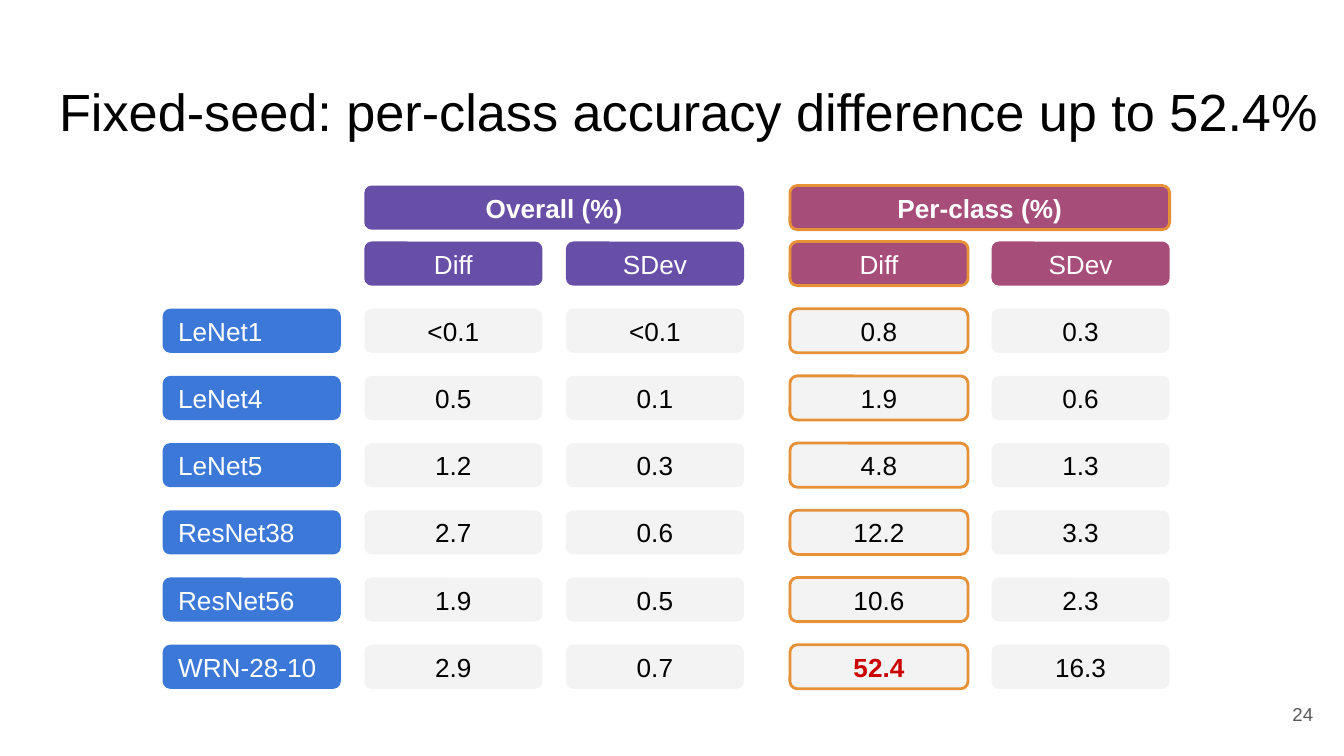
from dataclasses import dataclass
from typing import Optional

from pptx import Presentation
from pptx.dml.color import RGBColor
from pptx.enum.shapes import MSO_SHAPE
from pptx.enum.text import MSO_ANCHOR, MSO_AUTO_SIZE, PP_ALIGN
from pptx.util import Pt

ROUNDED = MSO_SHAPE.ROUNDED_RECTANGLE
TOP, MIDDLE = MSO_ANCHOR.TOP, MSO_ANCHOR.MIDDLE
NO_FIT = MSO_AUTO_SIZE.NONE
LEFT, CENTER, RIGHT = PP_ALIGN.LEFT, PP_ALIGN.CENTER, PP_ALIGN.RIGHT

BLACK = RGBColor(0x00, 0x00, 0x00)
WHITE = RGBColor(0xFF, 0xFF, 0xFF)
GRAY = RGBColor(0x59, 0x59, 0x59)
PALE = RGBColor(0xF3, 0xF3, 0xF3)
BLUE = RGBColor(0x3C, 0x78, 0xD8)
PURPLE = RGBColor(0x67, 0x4E, 0xA7)
PLUM = RGBColor(0xA6, 0x4D, 0x79)
ORANGE = RGBColor(0xE6, 0x91, 0x38)
RED = RGBColor(0xCC, 0x00, 0x00)

FONT = "Arial"
INSET = 7.2
CELL_WIDTH, CELL_HEIGHT = 95.4, 23.6
COLUMN_STEP, ROW_STEP = 108, 36
MODEL_LEFT = 87.2
GROUP_TOP, MEASURE_TOP, FIRST_ROW_TOP = 99.4, 129.4, 165.4
WORST = "52.4"


@dataclass(frozen=True)
class Group:
    heading: str
    left: float
    fill: RGBColor
    outline: Optional[RGBColor] = None


@dataclass(frozen=True)
class Result:
    model: str
    values: tuple[str, str, str, str]


@dataclass(frozen=True)
class Cell:
    text: str
    left: float
    top: float
    fill: RGBColor
    color: RGBColor = WHITE
    width: float = CELL_WIDTH
    outline: Optional[RGBColor] = None
    bold: bool = False
    align: PP_ALIGN = CENTER


GROUPS = (
    Group("Overall (%)", MODEL_LEFT + COLUMN_STEP, PURPLE),
    Group("Per-class (%)", 423.2, PLUM, ORANGE),
)
MEASURES = ("Diff", "SDev")
RESULTS = (
    Result("LeNet1", ("<0.1", "<0.1", "0.8", "0.3")),
    Result("LeNet4", ("0.5", "0.1", "1.9", "0.6")),
    Result("LeNet5", ("1.2", "0.3", "4.8", "1.3")),
    Result("ResNet38", ("2.7", "0.6", "12.2", "3.3")),
    Result("ResNet56", ("1.9", "0.5", "10.6", "2.3")),
    Result("WRN-28-10", ("2.9", "0.7", WORST, "16.3")),
)


def write(shape, text: str, size: float, color: RGBColor,
          align: PP_ALIGN, anchor: MSO_ANCHOR = MIDDLE, bold: bool = False) -> None:
    frame = shape.text_frame
    frame.word_wrap = True
    frame.auto_size = NO_FIT
    frame.vertical_anchor = anchor
    frame.margin_left = frame.margin_right = Pt(INSET)
    frame.margin_top = frame.margin_bottom = Pt(INSET)
    paragraph = frame.paragraphs[0]
    paragraph.alignment = align
    run = paragraph.add_run()
    run.text = text
    run.font.name = FONT
    run.font.size = Pt(size)
    run.font.bold = bold
    run.font.color.rgb = color


def draw_cell(slide, cell: Cell) -> None:
    box = slide.shapes.add_shape(
        ROUNDED, Pt(cell.left), Pt(cell.top), Pt(cell.width), Pt(CELL_HEIGHT))
    box.shadow.inherit = False
    box.fill.solid()
    box.fill.fore_color.rgb = cell.fill
    if cell.outline is None:
        box.line.fill.background()
    else:
        box.line.color.rgb = cell.outline
        box.line.width = Pt(1.5)
    write(box, cell.text, 14, cell.color, cell.align, bold=cell.bold)


def draw_models(slide) -> None:
    for row, result in enumerate(RESULTS):
        draw_cell(slide, Cell(result.model, MODEL_LEFT,
                              FIRST_ROW_TOP + row * ROW_STEP, BLUE, align=LEFT))


def draw_group(slide, index: int, group: Group) -> None:
    draw_cell(slide, Cell(group.heading, group.left, GROUP_TOP, group.fill,
                          width=COLUMN_STEP + CELL_WIDTH,
                          outline=group.outline, bold=True))
    for column, measure in enumerate(MEASURES):
        left = group.left + column * COLUMN_STEP
        outline = group.outline if measure == "Diff" else None
        draw_cell(slide, Cell(measure, left, MEASURE_TOP, group.fill, outline=outline))
        for row, result in enumerate(RESULTS):
            value = result.values[index * len(MEASURES) + column]
            worst = value == WORST
            draw_cell(slide, Cell(value, left, FIRST_ROW_TOP + row * ROW_STEP, PALE,
                                  RED if worst else BLACK,
                                  outline=outline, bold=worst))


def main() -> None:
    deck = Presentation()
    deck.slide_width, deck.slide_height = Pt(720), Pt(405)
    slide = deck.slides.add_slide(deck.slide_layouts[5])

    title = slide.shapes.title
    title.left, title.top = Pt(24.5), Pt(35)
    title.width, title.height = Pt(691), Pt(45)
    write(title, "Fixed-seed: per-class accuracy difference up to 52.4%",
          28, BLACK, LEFT, TOP)

    draw_models(slide)
    for index, group in enumerate(GROUPS):
        draw_group(slide, index, group)

    page_number = slide.shapes.add_textbox(Pt(667.4), Pt(367.2), Pt(43.2), Pt(31))
    write(page_number, "24", 10, GRAY, RIGHT)
    deck.save("out.pptx")


if __name__ == "__main__":
    main()
